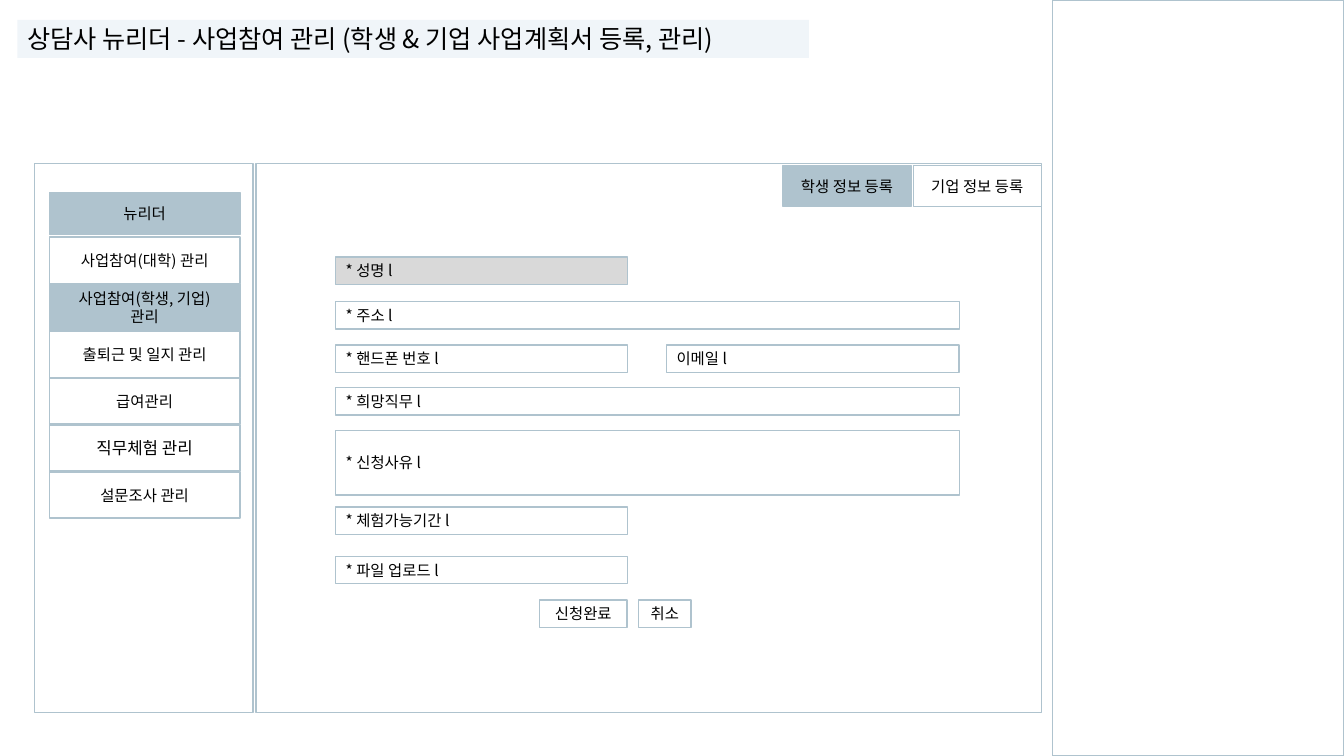
from lxml.etree import SubElement
from pptx import Presentation
from pptx.dml.color import RGBColor
from pptx.enum.shapes import MSO_SHAPE
from pptx.enum.text import MSO_ANCHOR, PP_ALIGN
from pptx.oxml.ns import qn
from pptx.util import Pt

FONT = "Noto Sans CJK KR"
COLOR = {"line": "AFC3CE", "on": "AFC3CE", "title": "F0F5F9",
         "lock": "D9D9D9", "text": "000000"}


def tint(name):
    return RGBColor.from_string(COLOR[name])


def add_box(slide, box, text="", fill=None, line="line", size=11,
            align=PP_ALIGN.CENTER):
    """Draw one rectangle; each line of text is a paragraph."""
    shape = slide.shapes.add_shape(MSO_SHAPE.RECTANGLE, *map(Pt, box))
    shape.shadow.inherit = False
    if fill:
        shape.fill.solid()
        shape.fill.fore_color.rgb = tint(fill)
    else:
        shape.fill.background()
    if line:
        shape.line.color.rgb = tint(line)
        shape.line.width = Pt(1)
    else:
        shape.line.fill.background()
    if not text:
        return
    frame = shape.text_frame
    frame.word_wrap = True
    frame.vertical_anchor = MSO_ANCHOR.MIDDLE
    frame.margin_top = frame.margin_bottom = 0
    for i, part in enumerate(text.split("\n")):
        para = frame.add_paragraph() if i else frame.paragraphs[0]
        para.alignment = align
        run = para.add_run()
        run.text = part
        font = run.font
        font.name, font.size = FONT, Pt(size)
        font.color.rgb = tint("text")
        # Hangul takes the East Asian typeface
        SubElement(font._element, qn("a:ea"), typeface=FONT)


def add_title(slide, box):
    add_box(slide, box,
            "상담사 뉴리더 - 사업참여 관리 (학생 & 기업 사업계획서 등록, 관리)",
            fill="title", line=None, size=18, align=PP_ALIGN.LEFT)


def add_menu(slide, box):
    """Side menu: a heading and evenly stacked items."""
    left, top, wide, _ = box
    add_box(slide, box)
    x, w = left + 10.8, wide - 20.1
    add_box(slide, (x, top + 20.9, w, 30.2), "뉴리더", fill="on")
    items = [("사업참여(대학) 관리", None, 11),
             ("사업참여(학생, 기업)\n관리", "on", 11),
             ("출퇴근 및 일지 관리", None, 11),
             ("급여관리", None, 11),
             ("직무체험 관리", None, 12),
             ("설문조사 관리", None, 11)]
    for i, (text, fill, size) in enumerate(items):
        y = top + 52.7 + i * 33.55
        add_box(slide, (x, y, w, 33.1), text, fill, size=size)


def add_tabs(slide, box):
    """Two tabs at the top right of the box."""
    left, top, wide, _ = box
    right = left + wide
    for text, back, fill in [("기업 정보 등록", 91.4, None),
                             ("학생 정보 등록", 184.4, "on")]:
        add_box(slide, (right - back, top + 1.4, 91.4, 29.5), text, fill)


def add_form(slide, box):
    """Entry fields and buttons, offset from the main panel."""
    left, top, _, _ = box
    add_box(slide, box)
    add_tabs(slide, box)
    start, half, full, row = 56.9, 208.4, 445.7, 19.6
    fields = [("* 성명 l", start, 67, half, row, "lock"),
              ("* 주소 l", start, 98.9, full, row, None),
              ("* 핸드폰 번호 l", start, 129.9, half, row, None),
              ("이메일 l", 293.3, 129.9, 208.8, row, None),
              ("* 희망직무 l", start, 160.4, full, row, None),
              ("* 신청사유 l", start, 190.9, full, 46.1, None),
              ("* 체험가능기간 l", start, 245.5, half, row, None),
              ("* 파일 업로드 l", start, 280.8, half, row, None)]
    for text, x, y, w, h, fill in fields:
        add_box(slide, (left + x, top + y, w, h), text, fill,
                align=PP_ALIGN.LEFT)
    for text, x, w in [("신청완료", 202.6, 62.3), ("취소", 273.3, 37.4)]:
        add_box(slide, (left + x, top + 312, w, row), text)


def main():
    deck = Presentation()
    deck.slide_width, deck.slide_height = Pt(960), Pt(540)
    slide = deck.slides.add_slide(deck.slide_layouts[6])
    # Blank note panel on the right
    add_box(slide, (751.7, 0, 208.2, 540))
    add_form(slide, (182.9, 116.6, 560.9, 392.4))
    add_title(slide, (12.4, 14.2, 565.4, 27.2))
    add_menu(slide, (24.5, 116.6, 156.2, 392.4))
    deck.save("out.pptx")


if __name__ == "__main__":
    main()
